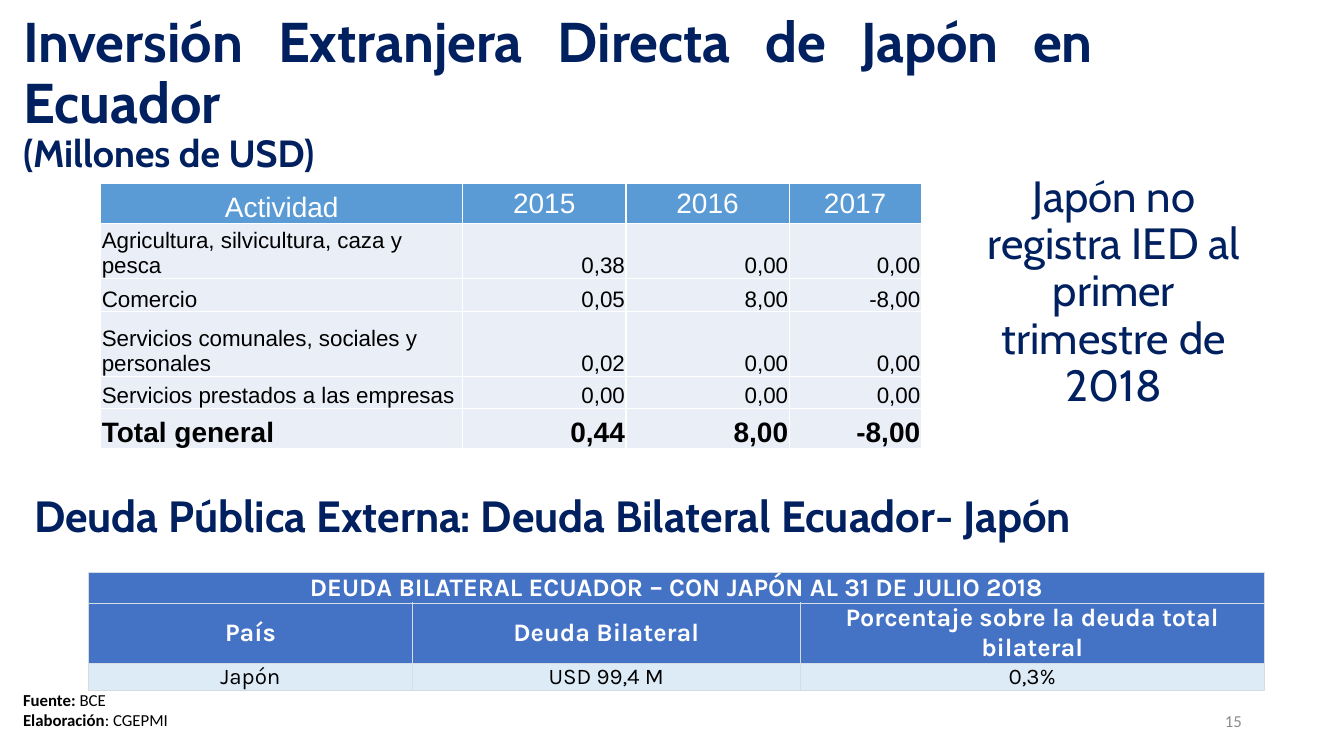
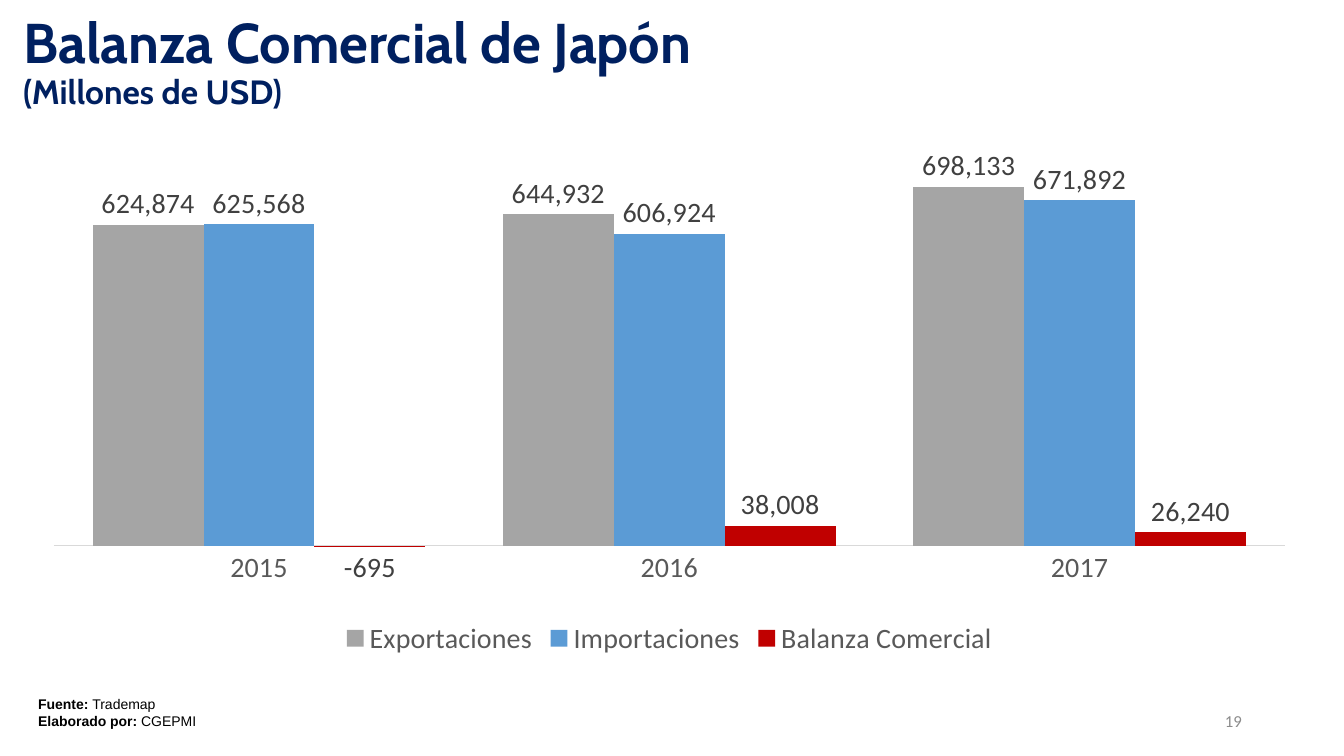
from lxml import etree
from pptx import Presentation
from pptx.chart.data import CategoryChartData
from pptx.dml.color import RGBColor
from pptx.enum.chart import (XL_CHART_TYPE, XL_LABEL_POSITION as LabelPos,
                             XL_LEGEND_POSITION as LegendPos, XL_TICK_MARK as Tick)
from pptx.enum.text import MSO_ANCHOR as Anchor, MSO_AUTO_SIZE as AutoSize, PP_ALIGN as Align
from pptx.oxml.ns import qn
from pptx.util import Inches, Pt

# Shared colours
NAVY = RGBColor(0x00, 0x20, 0x60)
BLACK = RGBColor(0x00, 0x00, 0x00)
WHITE = RGBColor(0xFF, 0xFF, 0xFF)
GREY = RGBColor(0xA5, 0xA5, 0xA5)
NUMBER_GREY = RGBColor(0x8C, 0x8C, 0x8C)
LABEL_GREY = RGBColor(0x40, 0x40, 0x40)
AXIS_GREY = RGBColor(0x59, 0x59, 0x59)
AXIS_LINE = RGBColor(0xD9, 0xD9, 0xD9)
BLUE = RGBColor(0x5B, 0x9B, 0xD5)
PALE_BLUE = RGBColor(0xEA, 0xEF, 0xF7)
DEBT_BLUE = RGBColor(0x44, 0x72, 0xC4)
DEBT_PALE = RGBColor(0xDD, 0xEB, 0xF7)
DEBT_BORDER = RGBColor(0xD6, 0xDC, 0xE4)
RED = RGBColor(0xC0, 0x00, 0x00)

# Content
UNIT = "(Millones de USD)"
INVESTMENT = [
    ("Actividad", "2015", "2016", "2017"),
    ("Agricultura, silvicultura, caza y pesca", "0,38", "0,00", "0,00"),
    ("Comercio", "0,05", "8,00", "-8,00"),
    ("Servicios comunales, sociales y personales", "0,02", "0,00", "0,00"),
    ("Servicios prestados a las empresas", "0,00", "0,00", "0,00"),
    ("Total general", "0,44", "8,00", "-8,00"),
]
DEBT = [
    ("DEUDA BILATERAL ECUADOR – CON JAPÓN AL 31 DE JULIO 2018", "", ""),
    ("País", "Deuda Bilateral", "Porcentaje sobre la deuda total bilateral"),
    ("Japón", "USD 99,4 M", "0,3%"),
]
YEARS = ["2015", "2016", "2017"]
TRADE = [  # name, values in thousands, colour
    ("Exportaciones", (624874, 644932, 698133), GREY),
    ("Importaciones", (625568, 606924, 671892), BLUE),
    ("Balanza Comercial", (-695, 38008, 26240), RED),
]


def style(font, name, size, color, bold=False):
    font.name, font.size, font.bold = name, Pt(size), bold
    font.color.rgb = color


def box(at):
    return [Inches(v) for v in at]


def add_text(s, at, text, name, size, color, bold=False, align=Align.LEFT,
             spacing=1.0, anchor=Anchor.MIDDLE):
    tf = s.shapes.add_textbox(*box(at)).text_frame
    tf.word_wrap, tf.vertical_anchor = True, anchor
    p = tf.paragraphs[0]
    p.text, p.alignment, p.line_spacing = text, align, spacing
    style(p.font, name, size, color, bold)


def add_source(s, at, lines, name, size):
    tf = s.shapes.add_textbox(*box(at)).text_frame
    tf.word_wrap = True
    for i, (label, value) in enumerate(lines):
        p = tf.paragraphs[0] if i == 0 else tf.add_paragraph()
        style(p.font, name, size, BLACK)
        r = p.add_run()
        r.text, r.font.bold = label, True
        p.add_run().text = value


def new_slide(prs, title, at, unit_size, number, align=Align.LEFT):
    """Slide with a two-part title and its page number."""
    s = prs.slides.add_slide(prs.slide_layouts[5])
    sp = s.shapes.title
    sp.left, sp.top, sp.width, sp.height = box(at)
    tf = sp.text_frame
    tf.word_wrap, tf.auto_size, tf.vertical_anchor = True, AutoSize.NONE, Anchor.MIDDLE
    p = tf.paragraphs[0]
    p.alignment, p.line_spacing = align, 0.9
    style(p.font, "Cabin", 40, NAVY, True)
    p.add_run().text = title
    p.add_line_break()
    r = p.add_run()
    r.text, r.font.size = UNIT, Pt(unit_size)
    add_text(s, (9.42, 6.95, 3, 0.4), number, "Calibri", 12, NUMBER_GREY, align=Align.RIGHT)
    return s


def set_borders(cell, color, width):
    tcPr = cell._tc.get_or_add_tcPr()
    for side in ("lnL", "lnR", "lnT", "lnB"):
        ln = etree.SubElement(tcPr, qn(f"a:{side}"), w=str(Pt(width)))
        fill = etree.SubElement(ln, qn("a:solidFill"))
        etree.SubElement(fill, qn("a:srgbClr"), val=str(color))


def add_table(s, left, top, widths, heights, rows, border, margin, cell_style):
    """cell_style(row, col) gives fill, font arguments, alignment and anchor."""
    at = (left, top, sum(widths), sum(heights))
    table = s.shapes.add_table(len(rows), len(widths), *box(at)).table
    table.first_row = table.horz_banding = False
    for col, width in zip(table.columns, widths):
        col.width = Inches(width)
    for row, height in zip(table.rows, heights):
        row.height = Inches(height)
    for i, values in enumerate(rows):
        for j, value in enumerate(values):
            cell = table.cell(i, j)
            fill, font, align, anchor = cell_style(i, j)
            set_borders(cell, *border)
            cell.fill.solid()
            cell.fill.fore_color.rgb = fill
            cell.margin_left = cell.margin_right = cell.margin_top = Inches(margin)
            cell.margin_bottom = 0
            cell.vertical_anchor = anchor
            p = cell.text_frame.paragraphs[0]
            p.text, p.alignment = value, align
            style(p.font, *font)
    return table


def investment_style(i, j):
    if i == 0:
        return BLUE, ("Arial", 20, WHITE), Align.CENTER, Anchor.MIDDLE if j else Anchor.BOTTOM
    total = i == len(INVESTMENT) - 1
    font = ("Arial", 20 if total else 16, BLACK, total)
    return PALE_BLUE, font, Align.RIGHT if j else Align.LEFT, Anchor.BOTTOM


def debt_style(i, j):
    if i < 2:
        return DEBT_BLUE, ("Karla", 18, WHITE, True), Align.CENTER, Anchor.MIDDLE
    return DEBT_PALE, ("Karla", 16, BLACK), Align.CENTER, Anchor.BOTTOM if j else Anchor.MIDDLE


def build_investment(prs):
    s = new_slide(prs, "Inversión Extranjera Directa de Japón en Ecuador",
                  (0.13, 0.22, 10.82, 1.45), 27, "15", Align.JUSTIFY)
    add_source(s, (0.13, 6.79, 5.69, 0.71),
               [("Fuente: ", "BCE"), ("Elaboración", ": CGEPMI")], "Calibri", 12)
    add_table(s, 1, 1.82, (3.59, 1.62, 1.62, 1.31), (0.4, 0.32, 0.33, 0.64, 0.32, 0.4),
              INVESTMENT, (WHITE, 1), 0.01, investment_style)
    add_text(s, (0.24, 4.88, 10.82, 0.55),
             "Deuda Pública Externa: Deuda Bilateral Ecuador- Japón",
             "Cabin", 31.2, NAVY, True, Align.JUSTIFY, 0.8)
    debt = add_table(s, 0.88, 5.68, (3.21, 3.85, 4.6), (0.24, 0.22, 0.21),
                     DEBT, (DEBT_BORDER, 0.5), 0, debt_style)
    debt.cell(0, 0).merge(debt.cell(0, 2))
    add_text(s, (9.68, 1.87, 2.74, 2.07), "Japón no registra IED al primer trimestre de 2018",
             "Cabin", 31.2, NAVY, align=Align.CENTER, spacing=0.9)


def build_trade(prs):
    s = new_slide(prs, "Balanza Comercial de Japón", (0.13, 0.02, 9.68, 1.22), 24, "19")
    add_source(s, (0.28, 6.85, 5.59, 0.44),
               [("Fuente: ", "Trademap"), ("Elaborado por: ", "CGEPMI")], "Arial", 10)

    # Column chart: full amounts, shown in thousands by the number format
    data = CategoryChartData(number_format="##,##0,")
    data.categories = YEARS
    for name, values, _ in TRADE:
        data.add_series(name, [v * 1000 for v in values])
    chart = s.shapes.add_chart(XL_CHART_TYPE.COLUMN_CLUSTERED,
                               *box((0.28, 1.23, 12.72, 5.33)), data).chart
    style(chart.font, "Calibri", 20, BLACK)
    chart.has_title = False
    chart.has_legend = True
    chart.legend.position = LegendPos.BOTTOM
    chart.legend.include_in_layout = False
    style(chart.legend.font, "Calibri", 20, AXIS_GREY)

    # Axes
    chart.value_axis.visible = False
    chart.value_axis.has_major_gridlines = False
    axis = chart.category_axis
    axis.major_tick_mark = axis.minor_tick_mark = Tick.NONE
    axis.format.line.color.rgb = AXIS_LINE
    axis.format.line.width = Pt(0.75)
    style(axis.tick_labels.font, "Calibri", 20, AXIS_GREY)

    # Series
    plot = chart.plots[0]
    plot.gap_width, plot.overlap, plot.vary_by_categories = 70, 0, False
    for series, (_, _, color) in zip(plot.series, TRADE):
        series.invert_if_negative = False
        series.format.fill.solid()
        series.format.fill.fore_color.rgb = color
        labels = series.data_labels
        labels.show_value, labels.position = True, LabelPos.OUTSIDE_END
        style(labels.font, "Calibri", 20, LABEL_GREY)


def main():
    prs = Presentation()
    prs.slide_width, prs.slide_height = Inches(40 / 3), Inches(7.5)
    build_investment(prs)
    build_trade(prs)
    prs.save("out.pptx")


if __name__ == "__main__":
    main()
